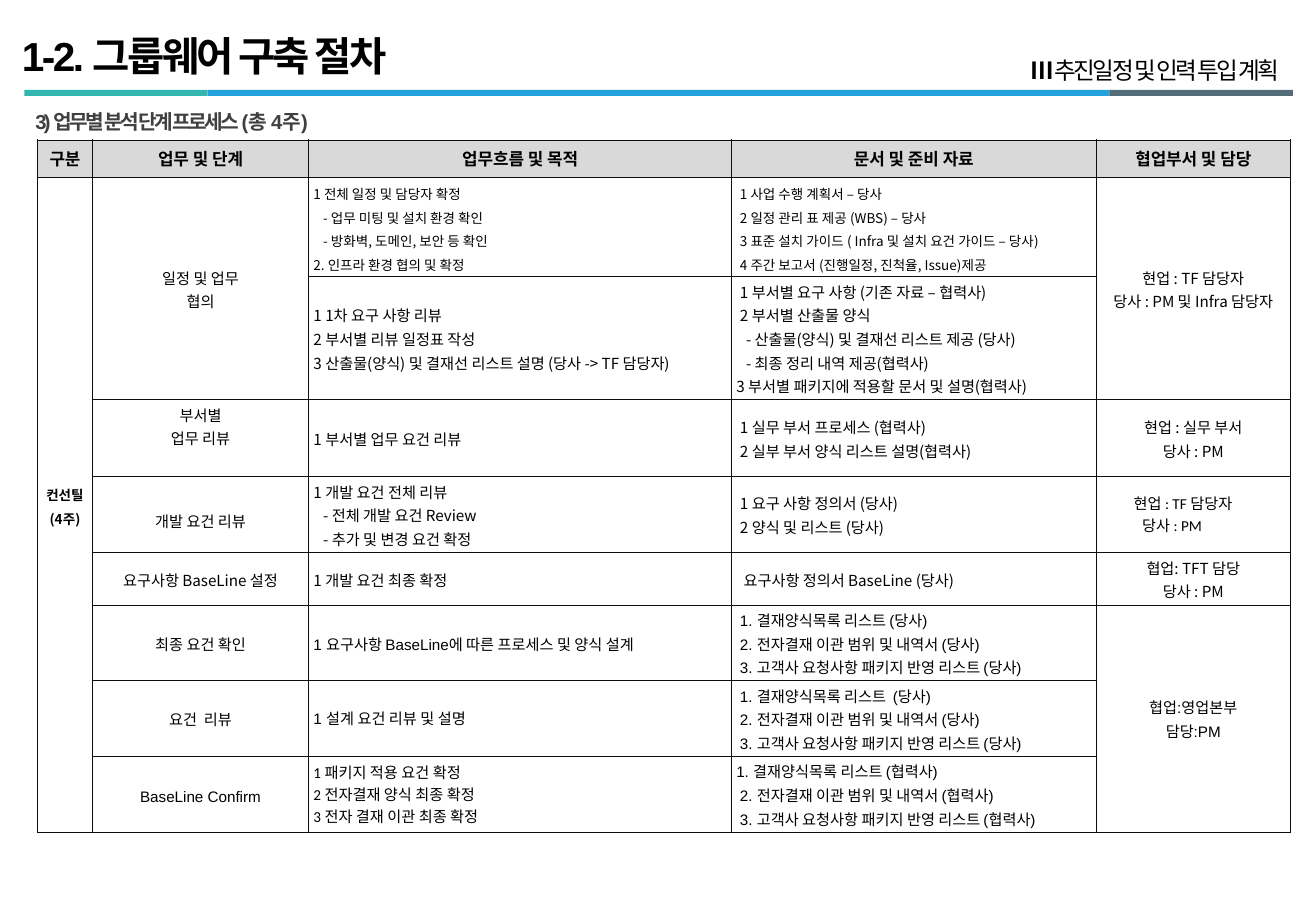
from dataclasses import dataclass

from lxml.etree import SubElement
from pptx import Presentation
from pptx.dml.color import RGBColor
from pptx.enum.shapes import MSO_SHAPE as Shape
from pptx.enum.text import MSO_ANCHOR as Anchor, MSO_AUTO_SIZE as AutoSize, PP_ALIGN as Align
from pptx.oxml import parse_xml
from pptx.oxml.ns import nsdecls, qn
from pptx.util import Inches, Pt

TEAL = RGBColor(0x33, 0xB5, 0xB1)
BLUE = RGBColor(0x24, 0xA2, 0xDD)
SLATE = RGBColor(0x52, 0x6C, 0x78)
BLACK = RGBColor(0, 0, 0)
DARK = RGBColor(0x40, 0x40, 0x40)
BORDER = RGBColor(0x0D, 0x0D, 0x0D)
HEAD_FILL = RGBColor(0xD9, 0xD9, 0xD9)
WHITE = RGBColor(0xFF, 0xFF, 0xFF)
NOTO, ARIAL, CALIBRI = "Noto Sans CJK KR", "Arial", "Calibri"
DASH_INDENT, NOTE_INDENT = 0.08, 0.03

COLUMNS = [0.45, 1.78, 3.48, 3, 1.6]
ROWS = [0.31, 0.81, 1.01, 0.63, 0.63, 0.43, 0.62, 0.62, 0.62]
MERGES = [((1, 0), (8, 0)), ((1, 1), (2, 1)), ((1, 4), (2, 4)), ((6, 4), (8, 4))]
HEADINGS = ["구분", "업무 및 단계", "업무흐름 및 목적", "문서 및 준비 자료", "협업부서 및 담당"]


@dataclass
class Entry:
    """Wording and format of one table cell; indents has one value per line."""
    lines: list
    font: str = NOTO
    size: float = 9
    bold: bool = False
    align: Align = Align.LEFT
    indents: tuple = ()
    spacing: float = Pt(14)
    anchor: Anchor = Anchor.MIDDLE
    top: float = 0.02
    fill: RGBColor = WHITE


def centred(*lines, **style):
    """Return a centred entry."""
    return Entry(list(lines), align=Align.CENTER, **style)


def flow(*lines, **style):
    """Return an entry of the work flow column."""
    return Entry(list(lines), **style)


def papers(*lines, last=None, first=NOTE_INDENT, **style):
    """Return an entry of the document column, slightly indented."""
    indents = [first] + [NOTE_INDENT] * (len(lines) - 1)
    if last is not None:
        indents[-1] = last
    return Entry(list(lines), indents=tuple(indents), **style)


def form_list(owner, gap=" ", **style):
    """Return the three documents of a design step with their owner."""
    return papers(f"1. 결재양식목록 리스트{gap}({owner})", f"2. 전자결재 이관 범위 및 내역서 ({owner})",
                  f"3. 고객사 요청사항 패키지 반영 리스트 ({owner})", font=ARIAL, **style)


ENTRIES = {
    (1, 0): centred("컨선틸", "(4주)", size=8, bold=True),
    (1, 1): centred("일정 및 업무", "협의"),
    (1, 2): flow("1 전체 일정 및 담당자 확정", "- 업무 미팅 및 설치 환경 확인",
                 "- 방화벽, 도메인, 보안 등 확인", "2. 인프라 환경 협의 및 확정", size=8),
    (1, 3): papers("1 사업 수행 계획서 – 당사", "2 일정 관리 표 제공 (WBS) – 당사",
                   "3 표준 설치 가이드 ( Infra 및 설치 요건 가이드 – 당사)",
                   "4 주간 보고서 (진행일정, 진척율, Issue)제공", size=8),
    (1, 4): centred("현업 : TF 담당자", "당사 : PM 및 Infra 담당자"),
    (2, 2): flow("1 1차 요구 사항 리뷰", "2 부서별 리뷰 일정표 작성",
                 "3 산출물(양식) 및 결재선 리스트 설명 (당사 -> TF 담당자)"),
    (2, 3): papers("1 부서별 요구 사항 (기존 자료 – 협력사)", "2 부서별 산출물 양식",
                   "- 산출물(양식) 및 결재선 리스트 제공 (당사)", "- 최종 정리 내역 제공(협력사)",
                   "3 부서별 패키지에 적용할 문서 및 설명(협력사)", last=0),
    (3, 1): centred("부서별", "업무 리뷰", anchor=Anchor.TOP),
    (3, 2): flow("1 부서별 업무 요건 리뷰"),
    (3, 3): papers("1 실무 부서 프로세스 (협력사)", "2 실부 부서 양식 리스트 설명(협력사)"),
    (3, 4): centred("현업 : 실무 부서", "당사 : PM"),
    (4, 1): centred("개발 요건 리뷰", font=CALIBRI, spacing=1.0, top=0.12),
    (4, 2): flow("1 개발 요건 전체 리뷰", "- 전체 개발 요건 Review", "- 추가 및 변경 요건 확정"),
    (4, 3): papers("1 요구 사항 정의서 (당사)", "2 양식 및 리스트 (당사)"),
    (4, 4): Entry(["현업 : TF 담당자", "당사 : PM"], font=CALIBRI, spacing=1.0, indents=(0.27, 0.34)),
    (5, 1): centred("요구사항 BaseLine 설정"),
    (5, 2): flow("1 개발 요건 최종 확정"),
    (5, 3): papers("요구사항 정의서 BaseLine (당사)", first=0.06),
    (5, 4): centred("협업: TFT 담당", "당사 : PM"),
    (6, 1): centred("최종 요건 확인", font=ARIAL),
    (6, 2): flow("1 요구사항 BaseLine에 따른 프로세스 및 양식 설계", font=ARIAL),
    (6, 3): form_list("당사"),
    (6, 4): centred("협업:영업본부", "담당:PM", font=ARIAL),
    (7, 1): centred("요건  리뷰", font=ARIAL),
    (7, 2): flow("1 설계 요건 리뷰 및 설명", font=ARIAL, spacing=1.0),
    (7, 3): form_list("당사", gap="  "),
    (8, 1): centred("BaseLine Confirm", font=ARIAL),
    (8, 2): flow("1 패키지 적용 요건 확정", "2 전자결재 양식 최종 확정", "3 전자 결재 이관 최종 확정",
                 font=CALIBRI, spacing=1.0),
    (8, 3): form_list("협력사", first=0),
}


def add_span(para, text, font, size, bold=False, color=BLACK, tracking=0):
    """Add one formatted run to a paragraph."""
    span = para.add_run()
    span.text = text
    span.font.name, span.font.size, span.font.bold = font, Pt(size), bold
    span.font.color.rgb = color
    props = span._r.get_or_add_rPr()
    SubElement(props, qn("a:ea")).set("typeface", NOTO)
    if tracking:
        props.set("spc", str(round(tracking * 100)))


def place(item, left, top, width, height):
    """Move and size an item, in inches."""
    item.left, item.top, item.width, item.height = map(Inches, (left, top, width, height))


def add_label(page, left, top, width, height):
    """Add an empty wrapping text box and return its frame."""
    box = page.shapes.add_textbox(*map(Inches, (left, top, width, height)))
    box.text_frame.word_wrap = True
    return box.text_frame


def add_header(page, left, top, width):
    """Place the title, the chapter label and the coloured rule."""
    title = page.shapes.title
    place(title, left - 0.12, top, 6.09, 0.56)
    frame = title.text_frame
    frame.auto_size, frame.vertical_anchor = AutoSize.NONE, Anchor.MIDDLE
    para = frame.paragraphs[0]
    para.alignment, para.line_spacing = Align.LEFT, 0.9
    add_span(para, "1-2. 그룹웨어 구축 절차", ARIAL, 24, True, tracking=-1.5)

    para = add_label(page, left + width - 3.58, top + 0.21, 3.57, 0.57).paragraphs[0]
    para.alignment = Align.RIGHT
    add_span(para, "Ⅲ ", ARIAL, 14, True, tracking=-3)
    add_span(para, "추진일정 및 인력 투입 계획", ARIAL, 14, tracking=-1.5)

    end = 1.51
    for color, length in ((TEAL, end), (BLUE, width - 2 * end), (SLATE, end)):
        bar = page.shapes.add_shape(Shape.RECTANGLE, Inches(left), Inches(top + 0.54),
                                    Inches(length), Inches(0.05))
        bar.shadow.inherit = False
        bar.fill.solid()
        bar.fill.fore_color.rgb = color
        bar.line.fill.background()
        left += length


def add_subtitle(page, left, top, width):
    """Place the section heading above the table."""
    frame = add_label(page, left, top, width, 0.3)
    frame.margin_left = Inches(0.17)
    add_span(frame.paragraphs[0], "3) 업무별 분석 단계 프로세스 (총  4주)", ARIAL, 12, True, DARK, -1.5)


def format_cell(cell, fill):
    """Set the fill, margins and thin borders of a cell."""
    cell.fill.solid()
    cell.fill.fore_color.rgb = fill
    cell.margin_left = cell.margin_right = Inches(0.04)
    cell.margin_top = cell.margin_bottom = Inches(0.02)
    props = cell._tc.get_or_add_tcPr()
    for index, side in enumerate("LRTB"):
        props.insert(index, parse_xml(
            f'<a:ln{side} {nsdecls("a")} w="{Pt(0.25)}"><a:solidFill>'
            f'<a:srgbClr val="{BORDER}"/></a:solidFill></a:ln{side}>'))


def fill_cell(cell, entry):
    """Write an entry into its cell."""
    cell.vertical_anchor = entry.anchor
    cell.margin_top = Inches(entry.top)
    frame = cell.text_frame
    for index, line in enumerate(entry.lines):
        para = frame.add_paragraph() if index else frame.paragraphs[0]
        para.alignment, para.line_spacing = entry.align, entry.spacing
        indent = entry.indents[index] if entry.indents else 0
        if line.startswith("- "):
            indent = DASH_INDENT
        props = para._p.get_or_add_pPr()
        props.set("marL", str(Inches(indent)))
        props.set("indent", "0")
        add_span(para, line, entry.font, entry.size, entry.bold)


def add_process_table(page, left, top):
    """Build the process table at the given corner."""
    table = page.shapes.add_table(len(ROWS), len(COLUMNS), Inches(left), Inches(top),
                                  Inches(sum(COLUMNS)), Inches(sum(ROWS))).table
    table.first_row = table.horz_banding = False
    for column, width in zip(table.columns, COLUMNS):
        column.width = Inches(width)
    for row, height in zip(table.rows, ROWS):
        row.height = Inches(height)
    for cell in table.iter_cells():
        format_cell(cell, WHITE)
    for first, last in MERGES:
        table.cell(*first).merge(table.cell(*last))
    headings = {(0, index): centred(text, size=10, bold=True, fill=HEAD_FILL)
                for index, text in enumerate(HEADINGS)}
    for position, entry in (headings | ENTRIES).items():
        cell = table.cell(*position)
        cell.fill.fore_color.rgb = entry.fill
        fill_cell(cell, entry)


def main():
    """Build the slide and save the deck."""
    deck = Presentation()
    deck.slide_width, deck.slide_height = Inches(10.83), Inches(7.5)
    page = deck.slides.add_slide(deck.slide_layouts[5])
    add_header(page, 0.2, 0.2, 10.44)
    add_subtitle(page, 0.12, 0.85, 10.52)
    add_process_table(page, 0.31, 1.15)
    deck.save("out.pptx")


if __name__ == "__main__":
    main()
